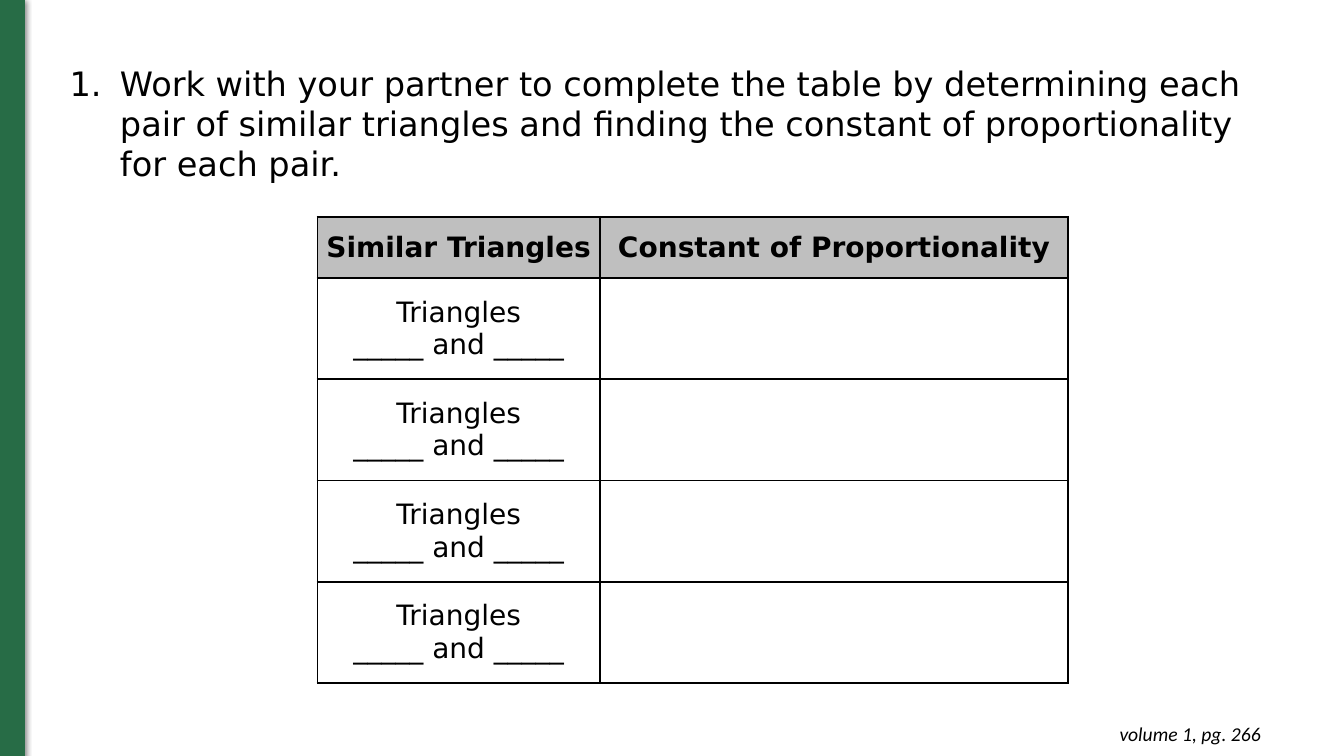
from dataclasses import dataclass

from lxml import etree
from pptx import Presentation
from pptx import util as u
from pptx.dml.color import RGBColor
from pptx.enum import shapes, text
from pptx.oxml import ns

TASK = ("Work with your partner to complete the table by determining each pair of "
        "similar triangles and finding the constant of proportionality for each pair.")
HEADS = ["Similar Triangles", "Constant of Proportionality"]
PAIR = "Triangles\n_____ and _____"
ROWS = [HEADS] + [[PAIR, ""]] * 4
PAGE = "volume 1, pg. 266"
COLS = [7.12, 11.8]
HIGH = [1.55] + [2.55] * 4


@dataclass
class Theme:
    green: str = "276C46"
    gray: str = "BFBFBF"
    ink: str = "000000"
    face: str = "DejaVu Sans"
    small: str = "Calibri"
    task: int = 24
    cell: int = 20
    note: int = 14


LOOK = Theme()


def rgb(code):
    return RGBColor.from_string(code)


def node(root, tag, **attrs):
    return etree.SubElement(root, ns.qn(tag), {k: str(v) for k, v in attrs.items()})


def tint(root, code):
    fill = node(root, "a:solidFill")
    return node(fill, "a:srgbClr", val=code)


def style(para, face, size, bold=False, slant=False):
    font = para.font
    font.name, font.size = face, u.Pt(size)
    font.bold, font.italic = bold, slant
    font.color.rgb = rgb(LOOK.ink)


def place(shape, left, top, width, height):
    shape.left, shape.top = u.Cm(left), u.Cm(top)
    shape.width, shape.height = u.Cm(width), u.Cm(height)


def add_bar(slide):
    bar = slide.shapes.add_shape(shapes.MSO_SHAPE.RECTANGLE, 0, u.Cm(-0.02),
                                 u.Cm(0.62), u.Cm(19.08))
    bar.fill.solid()
    bar.fill.fore_color.rgb = rgb(LOOK.green)
    bar.line.color.rgb = rgb(LOOK.green)
    bar.line.width = u.Pt(0.75)
    bar.shadow.inherit = False
    glow = bar.element.spPr.find(ns.qn("a:effectLst"))
    shade = node(glow, "a:outerShdw", blurRad=u.Pt(4.5), dist=u.Pt(1.5),
                 dir=5400000, algn="ctr", rotWithShape=0)
    node(node(shade, "a:srgbClr", val=LOOK.ink), "a:alpha", val=50000)


def frame(cell):
    props = cell._tc.get_or_add_tcPr()
    for spot, side in enumerate("LRTB"):
        line = node(props, f"a:ln{side}", w=u.Pt(1.5))
        tint(line, LOOK.ink)
        props.insert(spot, line)


def fill_cell(cell, words, head):
    if head:
        cell.fill.solid()
        cell.fill.fore_color.rgb = rgb(LOOK.gray)
    else:
        cell.fill.background()
    cell.margin_left = cell.margin_right = u.Cm(0.18)
    cell.margin_top = cell.margin_bottom = u.Cm(0.18)
    cell.vertical_anchor = text.MSO_ANCHOR.MIDDLE
    cell.text = words
    for para in cell.text_frame.paragraphs:
        para.alignment = text.PP_ALIGN.CENTER
        style(para, LOOK.face, LOOK.cell, bold=head)
    frame(cell)


def add_grid(slide):
    grid = slide.shapes.add_table(len(ROWS), len(COLS), u.Cm(8), u.Cm(5.46),
                                  u.Cm(sum(COLS)), u.Cm(sum(HIGH))).table
    grid.horz_banding = False
    for col, width in zip(grid.columns, COLS):
        col.width = u.Cm(width)
    for r, (row, high) in enumerate(zip(grid.rows, HIGH)):
        row.height = u.Cm(high)
        for cell, words in zip(row.cells, ROWS[r]):
            fill_cell(cell, words, r == 0)


def add_note(slide):
    note = slide.shapes.add_textbox(0, 0, 0, 0)
    place(note, 24.71, 17.93, 7.32, 1.12)
    box = note.text_frame
    box.word_wrap = True
    box.margin_left = box.margin_right = u.Cm(0.25)
    box.margin_top = box.margin_bottom = u.Cm(0.25)
    box.text = PAGE
    para = box.paragraphs[0]
    para.alignment = text.PP_ALIGN.RIGHT
    style(para, LOOK.small, LOOK.note, slant=True)


def add_task(body):
    place(body, 1.5, 1.45, 30.73, 3.33)
    box = body.text_frame
    box.text = TASK
    box.auto_size = text.MSO_AUTO_SIZE.SHAPE_TO_FIT_TEXT
    para = box.paragraphs[0]
    para.space_before = u.Pt(0)
    props = para._p.get_or_add_pPr()
    props.set("marL", str(u.Cm(1.27)))
    props.set("indent", str(u.Cm(-1.27)))
    node(node(props, "a:buClr"), "a:srgbClr", val=LOOK.ink)
    node(props, "a:buFontTx")
    node(props, "a:buAutoNum", type="arabicPeriod")
    style(para, LOOK.face, LOOK.task)


def main():
    deck = Presentation()
    deck.slide_width, deck.slide_height = u.Cm(33.87), u.Cm(19.05)
    slide = deck.slides.add_slide(deck.slide_layouts[1])
    title = slide.shapes.title.element
    title.getparent().remove(title)
    add_bar(slide)
    add_grid(slide)
    add_note(slide)
    add_task(slide.placeholders[1])
    deck.save("out.pptx")


if __name__ == "__main__":
    main()
